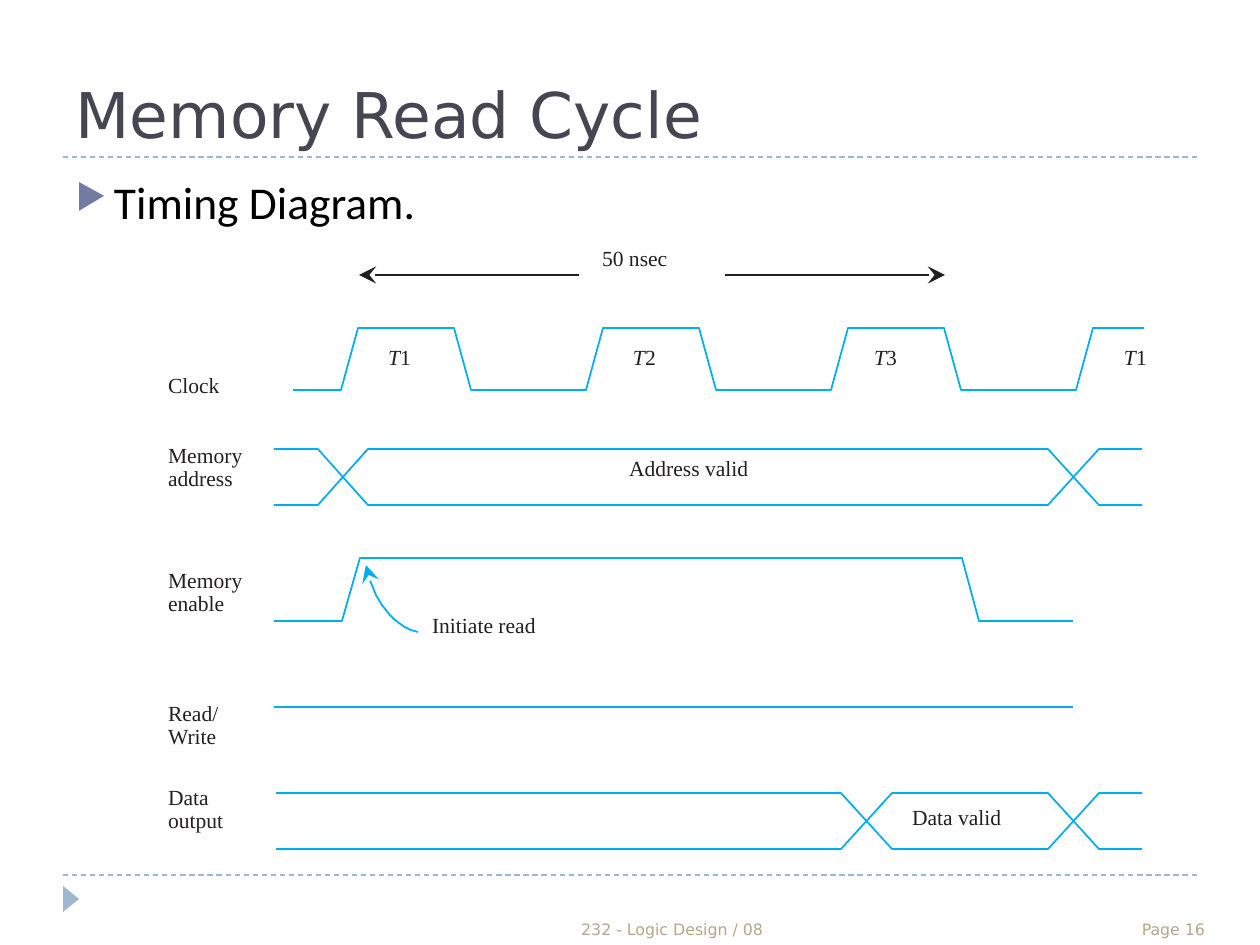
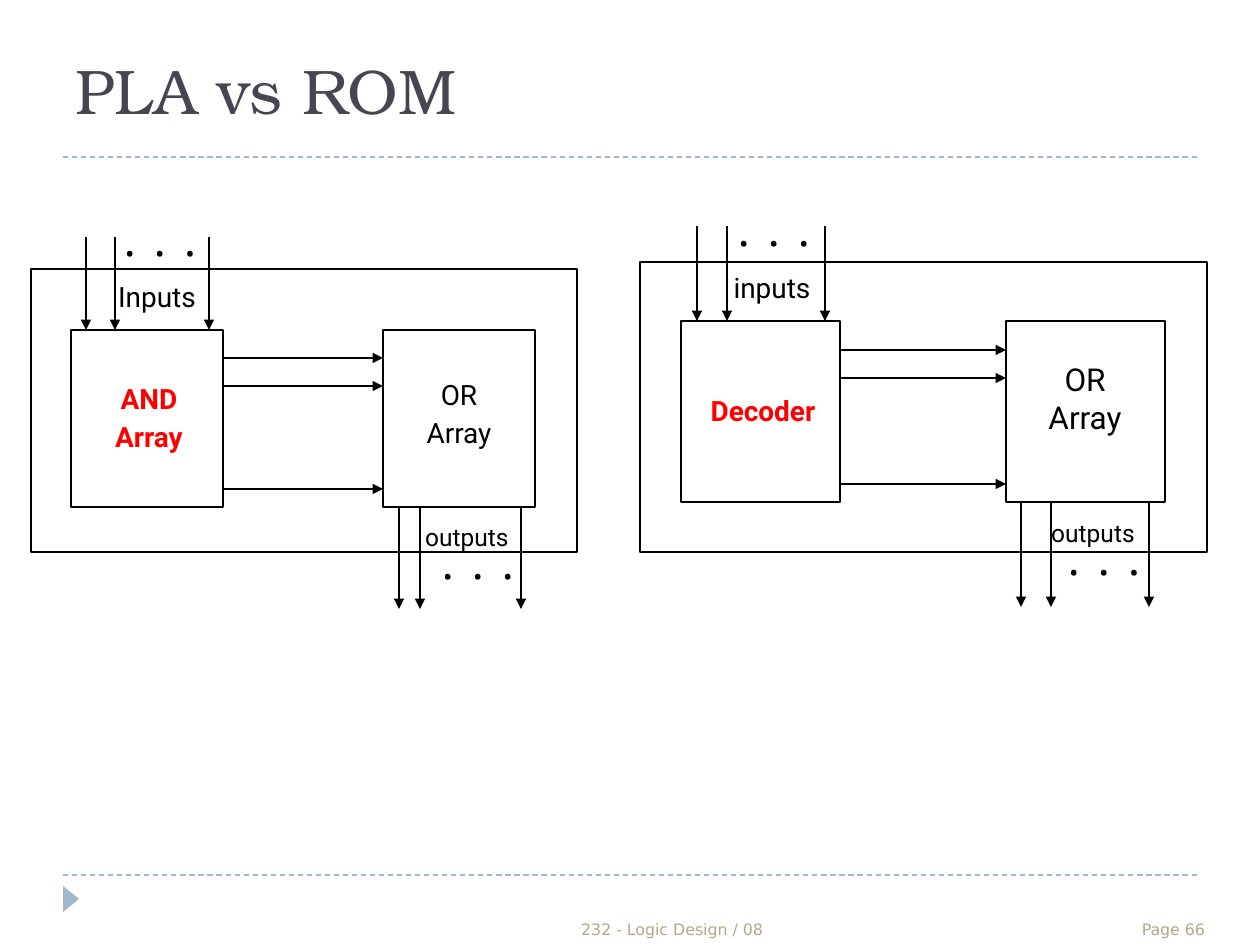
from dataclasses import dataclass, replace
from lxml import etree
from pptx import Presentation
from pptx import util as u
from pptx.dml.color import RGBColor
from pptx.enum import dml, shapes, text
from pptx.oxml.ns import qn

EMU_PER_PX = 914400 / 126


def px(length):
    return u.Emu(round(length * EMU_PER_PX))


@dataclass(frozen=True)
class TextStyle:
    font: str
    size: float
    color: str
    bold: bool = False
    italic: bool = False


@dataclass(frozen=True)
class Theme:
    rule: str = "9FB8CD"
    bullet: str = "727CA3"
    ink: str = "000000"
    signal: str = "00AEEF"
    measure: str = "231F20"
    title: TextStyle = TextStyle("DejaVu Sans", 36, "464653")
    serif_title: TextStyle = TextStyle("TeX Gyre Bonum", 36, "464653")
    body: TextStyle = TextStyle("Calibri", 26, "000000")
    footer: TextStyle = TextStyle("DejaVu Sans", 9, "B5A788")
    timing: TextStyle = TextStyle("Times New Roman", 12.3, "231F20")
    block: TextStyle = TextStyle("Roboto", 16, "000000")
    key_block: TextStyle = TextStyle("Roboto", 16, "FF0000", bold=True)
    outputs: TextStyle = TextStyle("Roboto", 14, "000000")
    timing_leading: float = 13
    block_leading: float = 21.8
    dot_spacing: int = 395


THEME = Theme()
ALIGN = text.PP_ALIGN
ANCHOR = text.MSO_ANCHOR


def rgb(color):
    return RGBColor.from_string(color)


def format_run(run, style):
    font = run.font
    font.name, font.size = style.font, u.Pt(style.size)
    font.bold, font.italic = style.bold, style.italic
    font.color.rgb = rgb(style.color)


def write(slide, box, words, style, align=ALIGN.LEFT, anchor=ANCHOR.TOP, leading=None):
    frame = slide.shapes.add_textbox(*map(px, box)).text_frame
    frame.word_wrap = True
    frame.vertical_anchor = anchor
    frame.margin_left = frame.margin_right = frame.margin_top = frame.margin_bottom = 0
    frame.text = words
    for paragraph in frame.paragraphs:
        paragraph.alignment = align
        if leading:
            paragraph.line_spacing = u.Pt(leading)
        for run in paragraph.runs:
            format_run(run, style)
    return frame


def set_line(line, color, width=1, arrow=None, size="med"):
    line.color.rgb = rgb(color)
    line.width = u.Pt(width)
    if arrow:
        properties = line.color and line._get_or_add_ln()
        etree.SubElement(properties, qn("a:tailEnd"), type=arrow, w=size, len=size)


def draw_line(slide, start, end, color, width=1, arrow=None, size="med"):
    connector = slide.shapes.add_connector(
        shapes.MSO_CONNECTOR.STRAIGHT, *map(px, (*start, *end)))
    etree.SubElement(connector._element.spPr, qn("a:effectLst"))
    ln = connector.line
    set_line(ln, color, width, arrow, size)
    return connector


def draw_polyline(slide, origin, points, color, arrow=None):
    builder = slide.shapes.build_freeform(*points[0], scale=EMU_PER_PX)
    builder.add_line_segments(points[1:], close=False)
    outline = builder.convert_to_shape(*map(px, origin))
    outline.shadow.inherit = False
    outline.fill.background()
    set_line(outline.line, color, arrow=arrow, size="lg")


def add_frame(prs, heading, style, anchor, page):
    slide = prs.slides.add_slide(prs.slide_layouts[5])
    title = slide.shapes.title
    title.left, title.top, title.width, title.height = map(px, (63, 21, 1134, 136))
    frame = title.text_frame
    frame.text = heading
    frame.auto_size = text.MSO_AUTO_SIZE.NONE
    frame.vertical_anchor = anchor
    frame.paragraphs[0].alignment = ALIGN.LEFT
    format_run(frame.paragraphs[0].runs[0], style)
    for y in (157, 875):
        rule = draw_line(slide, (63, y), (1197, y), THEME.rule, 0.75)
        rule.line.dash_style = dml.MSO_LINE.DASH
    marker = slide.shapes.add_shape(
        shapes.MSO_SHAPE.ISOSCELES_TRIANGLE, *map(px, (58, 891, 26, 16)))
    marker.rotation = 90
    marker.shadow.inherit = False
    marker.fill.solid()
    marker.fill.fore_color.rgb = rgb(THEME.rule)
    marker.line.fill.background()
    write(slide, (347, 914, 650, 25), "232 - Logic Design / 08", THEME.footer,
          ALIGN.CENTER, ANCHOR.BOTTOM)
    write(slide, (1102, 914, 103, 25), f"Page {page}", THEME.footer,
          ALIGN.RIGHT, ANCHOR.BOTTOM)
    return slide


def add_bullet(slide, box, words):
    paragraph = write(slide, box, words, THEME.body).paragraphs[0]
    properties = paragraph._p.get_or_add_pPr()
    properties.set("marL", str(px(38)))
    properties.set("indent", str(-px(38)))
    color = etree.SubElement(properties, qn("a:buClr"))
    etree.SubElement(color, qn("a:srgbClr"), val=THEME.bullet)
    etree.SubElement(properties, qn("a:buSzPct"), val="76000")
    etree.SubElement(properties, qn("a:buChar"), char="▶")


def draw_signal(slide, origin, start, edges, end, levels):
    now, other = levels
    points = [(start, now)]
    for edge_start, edge_end in edges:
        points += [(edge_start, now), (edge_end, other)]
        now, other = other, now
    draw_polyline(slide, origin, points + [(end, now)], THEME.signal)


def draw_bus(slide, origin, start, edges, end, levels):
    for pair in (levels, levels[::-1]):
        draw_signal(slide, origin, start, edges, end, pair)


def curve_points(a, b, c, d, steps=16):
    for step in range(steps + 1):
        t = step / steps
        s = 1 - t
        yield tuple(round(s**3 * i + 3 * s * s * t * j + 3 * s * t * t * k + t**3 * m)
                    for i, j, k, m in zip(a, b, c, d))


def add_timing_diagram(slide, box):
    left, top = box

    def label(x, y, words, style=THEME.timing):
        return write(slide, (left + x, top + y, 170, 46), words, style,
                     leading=THEME.timing_leading)

    for tail, tip in ((411, 191), (557, 777)):
        draw_line(slide, (left + tail, top + 27), (left + tip, top + 27),
                  THEME.measure, arrow="stealth", size="lg")
    label(434, 0, "50 nsec")

    period = 245
    rises = [173 + period * cycle for cycle in range(4)]
    clock_edges = [edge for x in rises for edge in ((x, x + 17), (x + 113, x + 130))]
    draw_signal(slide, box, 125, clock_edges[:-1], 976, (142, 80))
    for x, state in zip((220, 465, 706, 956), "1231"):
        name = label(x, 99, "T", replace(THEME.timing, italic=True)).paragraphs[0]
        number = name.add_run()
        number.text = state
        format_run(number, THEME.timing)

    last_cross = (880, 931)
    draw_bus(slide, box, 106, [(150, 200), last_cross], 974, (201, 257))
    draw_signal(slide, box, 106, [(174, 192), (794, 811)], 905, (373, 310))
    draw_line(slide, (left + 106, top + 459), (left + 905, top + 459), THEME.signal)
    draw_bus(slide, box, 108, [(673, 724), last_cross], 974, (545, 601))
    initiate_read = list(curve_points((250, 384), (212, 373), (201, 332), (198, 317)))
    draw_polyline(slide, box, initiate_read, THEME.signal, arrow="stealth")

    signal_names = {127: "Clock", 197: "Memory\naddress", 322: "Memory\nenable",
                    455: "Read/\nWrite", 539: "Data\noutput"}
    for y, name in signal_names.items():
        label(0, y, name)
    label(461, 210, "Address valid")
    label(264, 367, "Initiate read")
    label(744, 559, "Data valid")


@dataclass(frozen=True)
class Device:
    box: tuple
    block_size: tuple
    block_lefts: tuple
    block_top: int
    input_xs: tuple
    link_ys: tuple
    output_xs: tuple
    input_length: int
    output_length: int
    labels: tuple


DOTS = "• • •"
PLA = Device(
    box=(31, 269, 546, 283), block_size=(152, 177), block_lefts=(40, 352), block_top=61,
    input_xs=(15, 44, 138), link_ys=(28, 56, 159), output_xs=(16, 37, 138),
    input_length=93, output_length=102,
    labels=((129, -37, DOTS, THEME.block), (126, 6, "Inputs", THEME.block),
            (118, 108, "AND\nArray", THEME.key_block), (428, 104, "OR\nArray", THEME.block),
            (436, 244, "outputs", THEME.outputs), (447, 286, DOTS, THEME.block)))
ROM = Device(
    box=(640, 262, 567, 290), block_size=(159, 181), block_lefts=(41, 366), block_top=59,
    input_xs=(16, 46, 144), link_ys=(29, 57, 163), output_xs=(15, 45, 143),
    input_length=95, output_length=105,
    labels=((134, -40, DOTS, THEME.block), (132, 4, "inputs", THEME.block),
            (123, 127, "Decoder", THEME.key_block),
            (445, 98, "OR\nArray", replace(THEME.block, size=18)),
            (453, 247, "outputs", THEME.outputs), (464, 289, DOTS, THEME.block)))


def add_device(slide, device):
    left, top, _, _ = device.box
    width, height = device.block_size
    first, second = (left + x for x in device.block_lefts)
    block_top = top + device.block_top
    block_bottom = block_top + height

    for box in (device.box, (first, block_top, width, height),
                (second, block_top, width, height)):
        block = slide.shapes.add_shape(shapes.MSO_SHAPE.RECTANGLE, *map(px, box))
        block.shadow.inherit = False
        block.fill.background()
        set_line(block.line, THEME.ink)

    inputs = [((first + x, block_top - device.input_length), (first + x, block_top))
              for x in device.input_xs]
    links = [((first + width, block_top + y), (second, block_top + y))
             for y in device.link_ys]
    outputs = [((second + x, block_bottom), (second + x, block_bottom + device.output_length))
               for x in device.output_xs]
    for start, end in inputs + links + outputs:
        draw_line(slide, start, end, THEME.ink, arrow="triangle")

    for center, y, words, style in device.labels:
        frame = write(slide, (left + center - 80, top + y, 160, 80), words, style,
                      ALIGN.CENTER, leading=THEME.block_leading)
        if words == DOTS:
            run = frame.paragraphs[0].runs[0]
            run._r.get_or_add_rPr().set("spc", str(THEME.dot_spacing))


def main():
    prs = Presentation()
    prs.slide_width, prs.slide_height = px(1260), px(945)
    read_cycle = add_frame(prs, "Memory Read Cycle", THEME.title, ANCHOR.BOTTOM, 16)
    add_bullet(read_cycle, (76, 174, 1121, 60), "Timing Diagram.")
    add_timing_diagram(read_cycle, (168, 248))
    comparison = add_frame(prs, "PLA vs ROM", THEME.serif_title, ANCHOR.MIDDLE, 66)
    for device in (PLA, ROM):
        add_device(comparison, device)
    prs.save("out.pptx")


if __name__ == "__main__":
    main()
